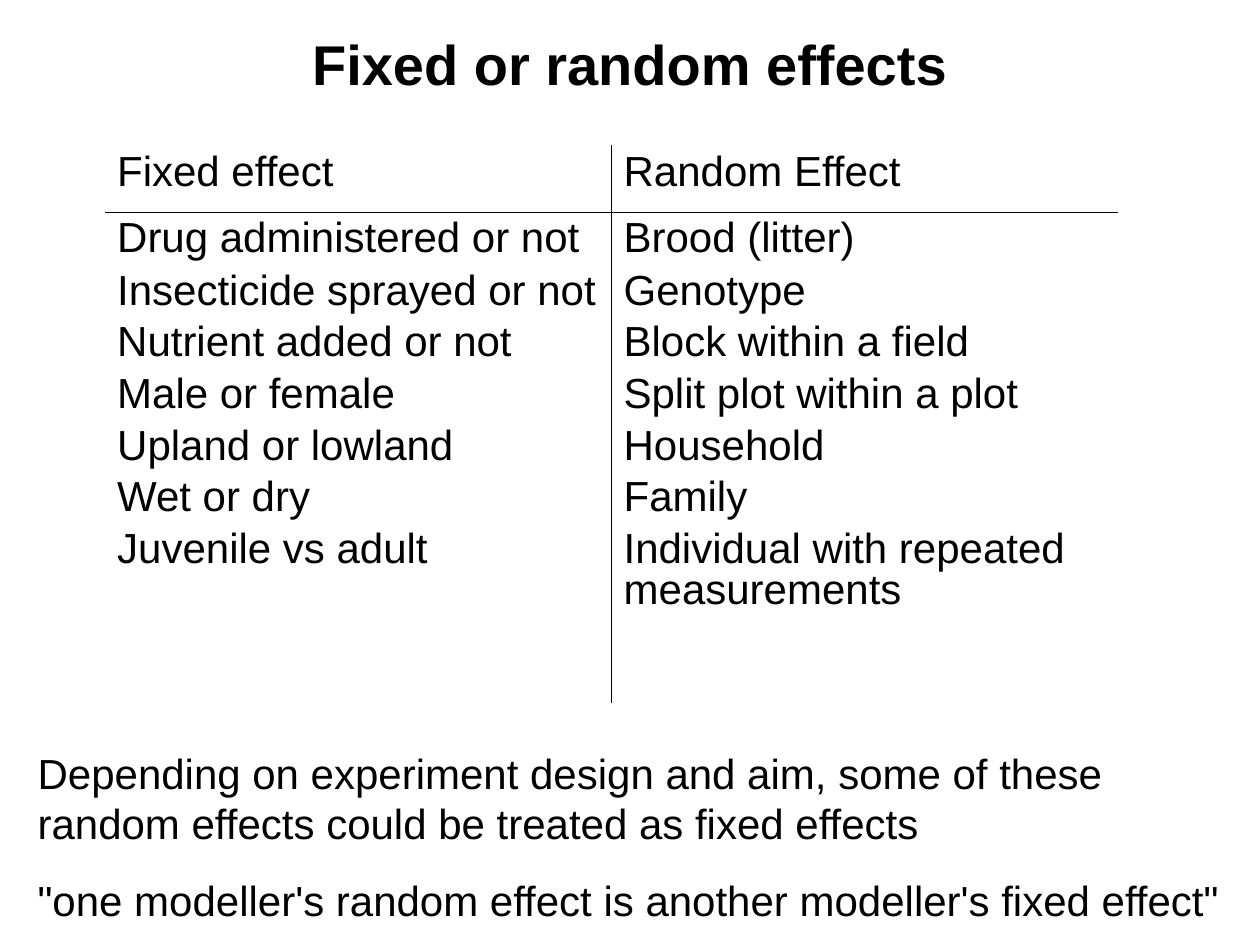
"""Build a slide that contrasts fixed and random effects in a ruled table."""
from lxml import etree
from pptx import Presentation
from pptx import util as u
from pptx.dml.color import RGBColor
from pptx.enum import text
from pptx.oxml import ns

WIDTH, HEIGHT = u.Inches(10), u.Inches(7.5)
FONT = "Arial"
COLORS = {"ink": "000000"}
RULE_WIDTH = u.Pt(0.11)
EFFECTS = {
    "Fixed effect": [
        "Drug administered or not", "Insecticide sprayed or not",
        "Nutrient added or not", "Male or female", "Upland or lowland",
        "Wet or dry", "Juvenile vs adult",
    ],
    "Random Effect": [
        "Brood (litter)", "Genotype", "Block within a field",
        "Split plot within a plot", "Household", "Family",
        "Individual with repeated measurements",
    ],
}
REMARKS = [
    "Depending on experiment design and aim, some of these random effects "
    "could be treated as fixed effects",
    "\"one modeller's random effect is another modeller's fixed effect\"",
]


def write(frame, lines, size=24, bold=False, before=0, spacing=(1, 1)):
    """Fill a frame; spacing holds the first and the later line spacings."""
    frame.text = "\n".join(lines)
    for index, para in enumerate(frame.paragraphs):
        para.space_before = u.Pt(before)
        para.line_spacing = spacing[min(index, 1)]
        for span in para.runs:
            span.font.name, span.font.size, span.font.bold = FONT, u.Pt(size), bold
            span.font.color.rgb = RGBColor.from_string(COLORS["ink"])


def rule_cell(cell, ruled):
    """Draw the named sides of a cell and blank out the others."""
    properties = cell._tc.get_or_add_tcPr()
    for side in "LRTB":
        line = etree.SubElement(properties, ns.qn(f"a:ln{side}"), w=str(RULE_WIDTH))
        if side in ruled:
            fill = etree.SubElement(line, ns.qn("a:solidFill"))
            etree.SubElement(fill, ns.qn("a:srgbClr"), val=COLORS["ink"])
        else:
            etree.SubElement(line, ns.qn("a:noFill"))
    cell.fill.background()


def add_title(page, words):
    """Place the centred heading in the title placeholder."""
    title = page.shapes.title
    title.left, title.top = int(WIDTH * 0.05), u.Inches(0.08)
    title.width, title.height = int(WIDTH * 0.9), u.Inches(0.84)
    write(title.text_frame, [words], size=32, bold=True)
    title.text_frame.vertical_anchor = text.MSO_ANCHOR.MIDDLE
    title.text_frame.paragraphs[0].alignment = text.PP_ALIGN.CENTER


def add_effects_table(page):
    """Add the two-column table with rules only between its cells."""
    heights = u.Inches(0.53), u.Inches(3.9)
    table = page.shapes.add_table(
        2, 2, u.Inches(0.83), u.Inches(1.15), u.Inches(8.04), sum(heights)).table
    table.first_row = table.horz_banding = False
    for row, height in zip(table.rows, heights):
        row.height = height
    for column, (heading, examples) in enumerate(EFFECTS.items()):
        for row, lines in enumerate([[heading], examples]):
            cell = table.cell(row, column)
            write(cell.text_frame, lines, before=6, spacing=(0.93, 0.88))
            rule_cell(cell, "RL"[column] + "BT"[row])


def add_remarks(page):
    """Add the closing remarks below the table."""
    box = page.shapes.add_textbox(
        int(WIDTH * 0.02), u.Inches(5.88), u.Inches(9.69), u.Inches(1.51))
    box.text_frame.word_wrap = True
    write(box.text_frame, REMARKS, before=15)


def main():
    """Create the deck and save it."""
    deck = Presentation()
    deck.slide_width, deck.slide_height = WIDTH, HEIGHT
    page = deck.slides.add_slide(deck.slide_layouts.get_by_name("Title Only"))
    add_title(page, "Fixed or random effects")
    add_effects_table(page)
    add_remarks(page)
    deck.save("out.pptx")


if __name__ == "__main__":
    main()
